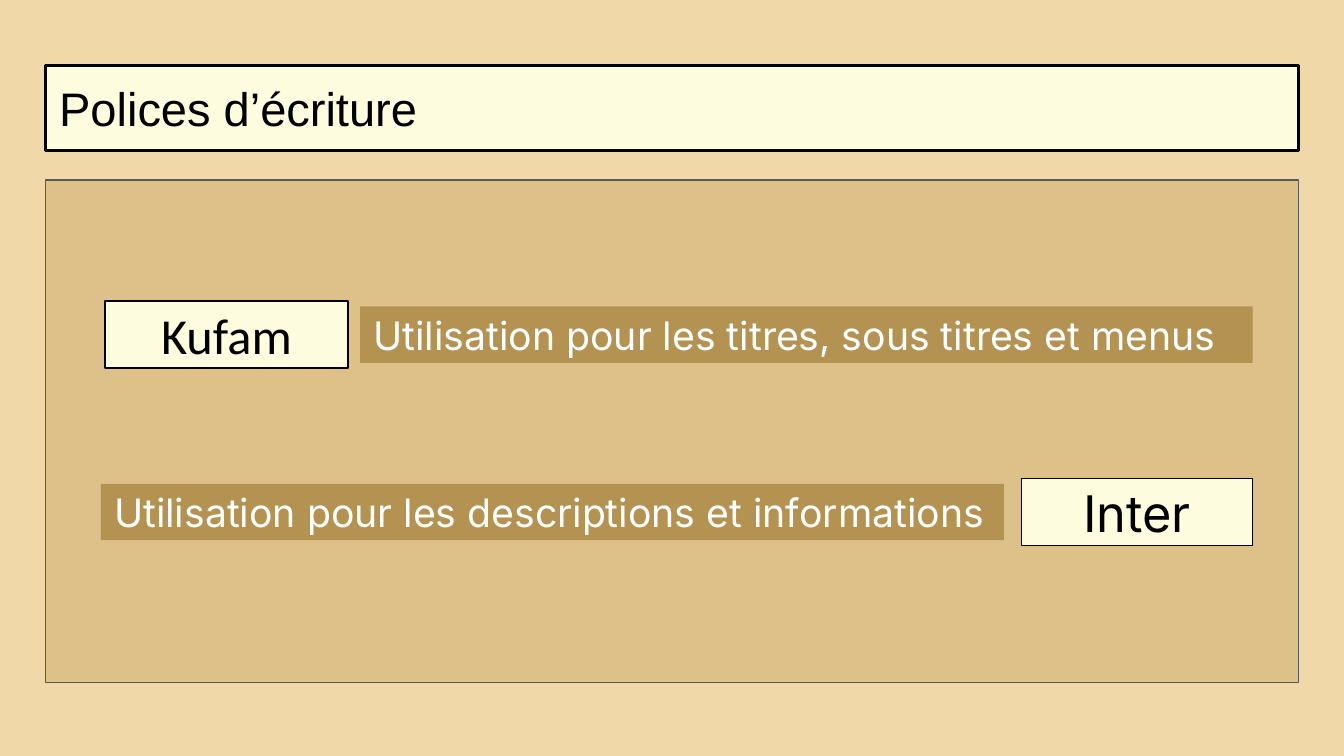
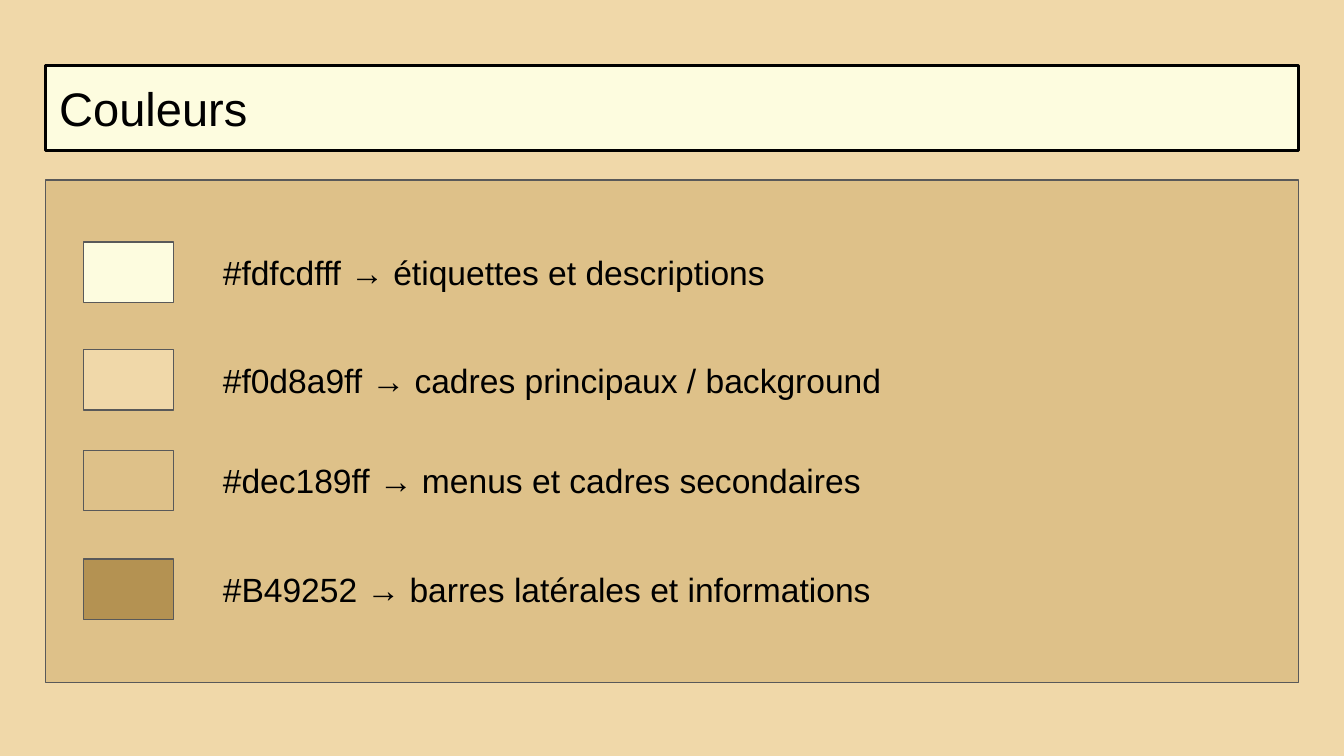
from pptx import Presentation
from pptx.dml.color import RGBColor
from pptx.enum import shapes, text
from pptx.util import Inches, Pt

COLORS = {
    "label": "FDFCDF",
    "background": "F0D8A9",
    "panel": "DEC189",
    "info": "B49252",
    "outline": "595959",
    "black": "000000",
    "white": "FFFFFF",
}

TITLE_BOX = (0.34, 0.49, 9.32, 0.63)
PANEL_BOX = (0.34, 1.34, 9.32, 3.74)
LABEL_HEIGHT, USE_HEIGHT = 0.5, 0.42
SWATCH_LEFT, SWATCH_WIDTH, ROW_HEIGHT = 0.62, 0.67, 0.45
CAPTION_LEFT = 1.56

FONT_TITLE = "Polices d’écriture"
FONT_ROWS = [
    {"center": 2.49, "name": "Kufam", "font": "Calibri", "name_span": (0.78, 1.81),
     "use": "Utilisation pour les titres, sous titres et menus", "use_span": (2.68, 6.64)},
    {"center": 3.81, "name": "Inter", "font": "Inter", "name_span": (7.6, 1.72),
     "use": "Utilisation pour les descriptions et informations", "use_span": (0.75, 6.72)},
]

COLOR_TITLE = "Couleurs"
COLOR_ROWS = [
    (1.8, "label", "#fdfcdfff → étiquettes et descriptions", 6.1),
    (2.6, "background", "#f0d8a9ff → cadres principaux / background", 5.56),
    (3.35, "panel", "#dec189ff → menus et cadres secondaires", 5.13),
    (4.16, "info", "#B49252 → barres latérales et informations", 5.56),
]


def rgb(name):
    return RGBColor.from_string(COLORS[name])


def paint(shape, fill, line=None, width=0.75):
    shape.fill.solid()
    shape.fill.fore_color.rgb = rgb(fill)
    if line:
        shape.line.color.rgb = rgb(line)
        shape.line.width = Pt(width)
    else:
        shape.line.fill.background()


def write(shape, content, size=18, font="Arial", color="black", align="LEFT"):
    frame = shape.text_frame
    frame.word_wrap = True
    frame.auto_size = text.MSO_AUTO_SIZE.NONE
    frame.vertical_anchor = text.MSO_ANCHOR.MIDDLE
    frame.margin_left = frame.margin_right = Inches(0.1)
    frame.margin_top = frame.margin_bottom = Inches(0.1)
    frame.text = content
    paragraph = frame.paragraphs[0]
    paragraph.alignment = text.PP_ALIGN[align]
    paragraph.font.size = Pt(size)
    paragraph.font.name = font
    paragraph.font.color.rgb = rgb(color)


def add_box(slide, box, fill, line=None):
    shape = slide.shapes.add_shape(shapes.MSO_SHAPE.RECTANGLE, *map(Inches, box))
    shape.shadow.inherit = False
    paint(shape, fill, line)
    return shape


def add_slide(presentation, title):
    slide = presentation.slides.add_slide(presentation.slide_layouts[5])
    shape = slide.shapes.title
    shape.left, shape.top, shape.width, shape.height = map(Inches, TITLE_BOX)
    paint(shape, "label", "black", 1.5)
    write(shape, title, size=25.2)
    add_box(slide, PANEL_BOX, "panel", "outline")
    return slide


def centered(span, center, height):
    left, width = span
    return left, center - height / 2, width, height


def build_fonts(presentation):
    slide = add_slide(presentation, FONT_TITLE)
    for row in FONT_ROWS:
        label = add_box(slide, centered(row["name_span"], row["center"], LABEL_HEIGHT),
                        "label", "black")
        write(label, row["name"], size=27, font=row["font"], align="CENTER")
        use = add_box(slide, centered(row["use_span"], row["center"], USE_HEIGHT), "info")
        write(use, row["use"], size=21, font="Inter", color="white")


def build_colors(presentation):
    slide = add_slide(presentation, COLOR_TITLE)
    for top, color, _, _ in COLOR_ROWS:
        add_box(slide, (SWATCH_LEFT, top, SWATCH_WIDTH, ROW_HEIGHT), color, "outline")
    for top, _, caption, width in COLOR_ROWS:
        box = (CAPTION_LEFT, top, width, ROW_HEIGHT)
        write(slide.shapes.add_textbox(*map(Inches, box)), caption)


def main():
    presentation = Presentation()
    presentation.slide_width = Inches(10)
    presentation.slide_height = Inches(10) * 9 // 16
    background = presentation.slide_master.background.fill
    background.solid()
    background.fore_color.rgb = rgb("background")
    build_fonts(presentation)
    build_colors(presentation)
    presentation.save("out.pptx")


if __name__ == "__main__":
    main()
